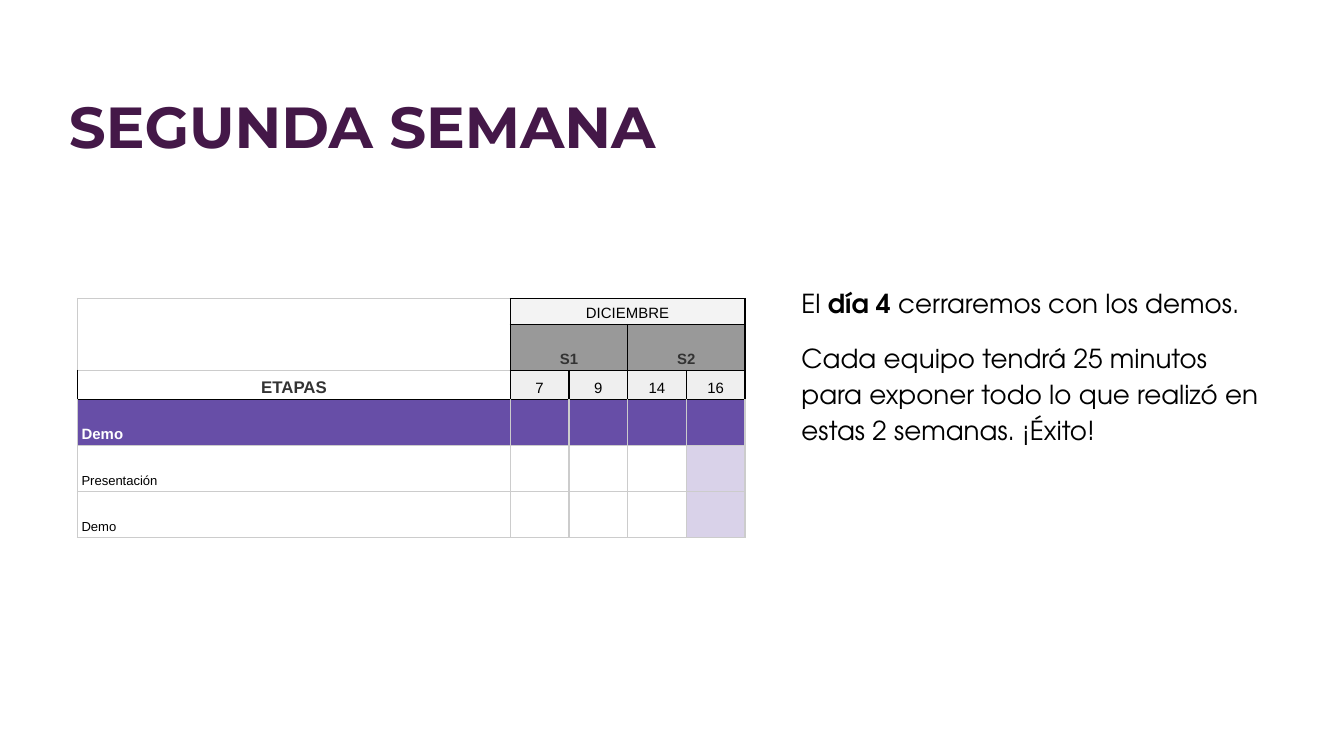
from lxml import etree
from pptx import Presentation, util as u
from pptx.dml.color import RGBColor
from pptx.enum import text
from pptx.oxml.ns import qn

UNIT = 0.1  # grid step in inches: 100 columns across the slide
BLACK, GREY, WHITE, DARK = "000000", "CCCCCC", "FFFFFF", "333333"
PURPLE, LILAC = "674EA7", "D9D2E9"


def color(value):
    return RGBColor.from_string(value)


def grid(n):
    return u.Inches(n * UNIT)


class Deck:
    title_font, body_font, table_font = "Montserrat", "TeX Gyre Adventor", "Arial"

    def __init__(self, cols, rows):
        self.prs = Presentation()
        self.prs.slide_width, self.prs.slide_height = grid(cols), grid(rows)
        self.s = self.prs.slides.add_slide(self.prs.slide_layouts[6])
        self.s.background.fill.solid()
        self.s.background.fill.fore_color.rgb = color(WHITE)

    def run(self, p, words, font, size, ink=BLACK, bold=False):
        r = p.add_run()
        r.text = words
        r.font.name, r.font.size, r.font.bold = font, u.Pt(size), bold
        r.font.color.rgb = color(ink)

    def text_box(self, at, paragraphs, font, size, ink=BLACK, spacing=1.15, gap=0):
        """Each paragraph is a list of (words, bold) runs."""
        tf = self.s.shapes.add_textbox(*map(grid, at)).text_frame
        tf.word_wrap = True
        tf.margin_left = tf.margin_right = tf.margin_top = tf.margin_bottom = grid(1)
        for i, runs in enumerate(paragraphs):
            p = tf.paragraphs[0] if i == 0 else tf.add_paragraph()
            p.line_spacing = spacing
            p.space_before = u.Pt(gap if i else 0)
            for words, bold in runs:
                self.run(p, words, font, size, ink, bold)

    def table(self, left, top, widths, heights):
        frame = self.s.shapes.add_table(len(heights), len(widths), grid(left), grid(top),
                                        grid(sum(widths)), grid(sum(heights)))
        tbl = frame.table
        tbl.first_row = tbl.horz_banding = False
        for lines, attr, sizes in ((tbl.columns, "width", widths), (tbl.rows, "height", heights)):
            for line, size in zip(lines, sizes):
                setattr(line, attr, grid(size))
        return tbl

    def cell(self, cell, words="", fill=None, size=8, ink=BLACK, bold=False,
             center=False, black=""):
        """Sides named in black (L, R, T, B) get a black border, the others grey."""
        cell.vertical_anchor = text.MSO_ANCHOR.BOTTOM
        cell.margin_left = cell.margin_right = grid(0.3)
        cell.margin_top = cell.margin_bottom = grid(0.2)
        tc_pr = cell._tc.get_or_add_tcPr()
        for side in "LRTB":
            ln = etree.SubElement(tc_pr, qn("a:ln" + side), w=str(u.Pt(0.75)))
            solid = etree.SubElement(ln, qn("a:solidFill"))
            etree.SubElement(solid, qn("a:srgbClr"), val=BLACK if side in black else GREY)
        if fill:
            cell.fill.solid()
            cell.fill.fore_color.rgb = color(fill)
        else:
            cell.fill.background()
        if words:
            p = cell.text_frame.paragraphs[0]
            p.line_spacing = 1.15
            p.alignment = text.PP_ALIGN.CENTER if center else text.PP_ALIGN.LEFT
            self.run(p, words, self.table_font, size, ink, bold)


def main():
    deck = Deck(100, 56.25)

    # Title and explanation
    deck.text_box((4.15, 4.2, 93.8, 7), [[("SEGUNDA SEMANA", True)]],
                  deck.title_font, 31, "441848", spacing=1.3)
    deck.text_box((58.65, 20.05, 36.7, 13.9), [
        [("El ", False), ("día 4 ", True), ("cerraremos con los demos.", False)],
        [("Cada equipo tendrá 25 minutos para exponer todo lo que realizó en "
          "estas 2 semanas. ¡Éxito!", False)],
    ], deck.body_font, 14, gap=10)

    # Schedule: stage names, then one column per day
    days = ["7", "9", "14", "16"]
    tbl = deck.table(5.77, 22.2, [32.2] + [4.37] * len(days), [1.95, 3.42, 2.15] + [3.42] * 3)
    for first, last in (((0, 0), (1, 0)), ((0, 1), (0, 4)), ((1, 1), (1, 2)), ((1, 3), (1, 4))):
        tbl.cell(*first).merge(tbl.cell(*last))

    # Header: month, weeks, days
    head = dict(center=True, black="LRTB")
    deck.cell(tbl.cell(0, 0), black="R")
    deck.cell(tbl.cell(0, 1), "DICIEMBRE", "F3F3F3", **head)
    for col, week in ((1, "S1"), (3, "S2")):
        deck.cell(tbl.cell(1, col), week, "999999", ink=DARK, bold=True, **head)
    deck.cell(tbl.cell(2, 0), "ETAPAS", WHITE, 9, DARK, True, center=True, black="LRB")
    for col, day in enumerate(days, 1):
        deck.cell(tbl.cell(2, col), day, "EFEFEF", **head)

    # Stage band and its tasks, all on the last day
    for col in range(len(days) + 1):
        deck.cell(tbl.cell(3, col), "" if col else "Demo", PURPLE, ink=WHITE, bold=True, black="T")
        for row, task in ((4, "Presentación"), (5, "Demo")):
            deck.cell(tbl.cell(row, col), "" if col else task,
                      LILAC if col == len(days) else None, size=7)

    deck.prs.save("out.pptx")


if __name__ == "__main__":
    main()
